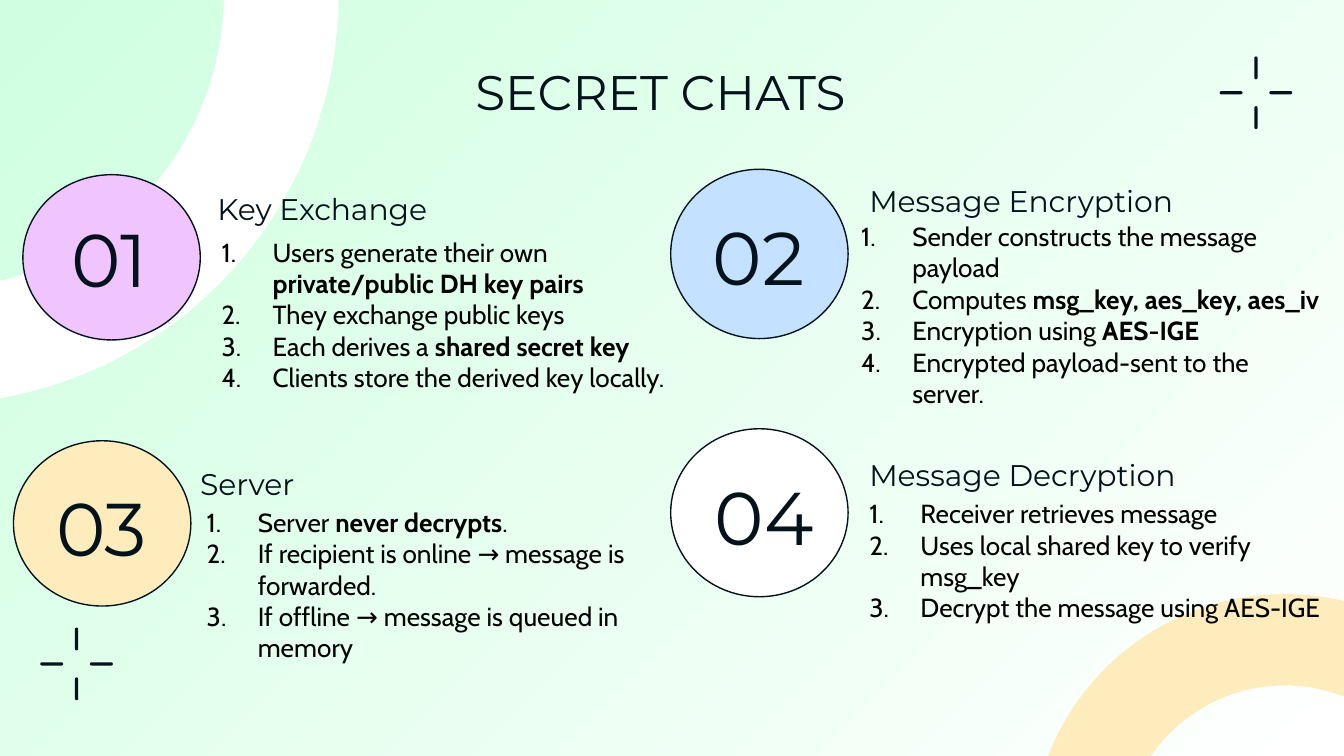
from dataclasses import dataclass
from typing import NamedTuple

from lxml.etree import SubElement
from pptx import Presentation
from pptx.dml.color import RGBColor
from pptx.enum.shapes import MSO_SHAPE
from pptx.enum.text import MSO_ANCHOR, MSO_AUTO_SIZE, PP_ALIGN
from pptx.oxml.ns import qn
from pptx.util import Inches, Pt

# The grid has square cells, 100 columns across the slide.
COLUMNS, ROWS = 100, 56.25
CELL = Inches(0.1)
INSET = 1
LIST_INDENT = 3.8


@dataclass(frozen=True)
class Theme:
    ink: str = "03121B"
    black: str = "000000"
    white: str = "FFFFFF"
    mint: str = "CFFFE0"
    pink: str = "F0C4FF"
    blue: str = "C4E2FF"
    cream: str = "FFECBC"
    heading_font: str = "Montserrat"
    body_font: str = "Cabin"
    title_size: float = 26
    heading_size: float = 16
    body_size: float = 14
    number_size: float = 40
    outline: float = 0.75


THEME = Theme()


class Area(NamedTuple):
    """Left, top, width and height in grid cells."""
    left: float
    top: float
    width: float
    height: float

    def lengths(self) -> list[int]:
        return [round(value * CELL) for value in self]


class TextStyle(NamedTuple):
    font: str
    size: float
    color: str


TITLE = TextStyle(THEME.heading_font, THEME.title_size, THEME.ink)
HEADING = TextStyle(THEME.heading_font, THEME.heading_size, THEME.ink)
NUMBER = TextStyle(THEME.heading_font, THEME.number_size, THEME.ink)
BODY = TextStyle(THEME.body_font, THEME.body_size, THEME.black)


class Step(NamedTuple):
    """One numbered topic; double asterisks in items enclose bold words."""
    number: str
    heading: str
    color: str
    circle: Area
    number_area: Area
    heading_area: Area
    list_area: Area
    items: tuple[str, ...]
    list_foot: float = INSET


class Arc(NamedTuple):
    area: Area
    color: str
    adjustments: tuple[float, float, float]


STEPS = (
    Step("01", "Key Exchange", THEME.pink,
         Area(1.7, 13, 13.2, 12.3), Area(2.4, 13.4, 11.5, 11.5),
         Area(15.2, 12.6, 27.6, 5.8), Area(15.5, 20, 35.9, 8.8),
         ("Users generate their own **private/public DH key pairs**",
          "They exchange public keys",
          "Each derives a **shared secret key**",
          "Clients store the derived key locally."),
         list_foot=3),
    Step("02", "Message Encryption", THEME.blue,
         Area(49.9, 12.6, 13.2, 12.6), Area(50.7, 13.3, 11.5, 11.5),
         Area(63.7, 12, 33.1, 5.8), Area(63.1, 19.8, 36.3, 7.2),
         ("Sender constructs the message payload",
          "Computes **msg_key, aes_key, aes_iv**",
          "Encryption using **AES-IGE**",
          "Encrypted payload-sent to the server.")),
    Step("03", "Server", THEME.cream,
         Area(1, 32.8, 13.2, 12.3), Area(1.8, 33.4, 11.5, 11.5),
         Area(13.9, 33.1, 25.2, 5.8), Area(14.4, 40.6, 34.7, 5.8),
         ("Server **never decrypts**.",
          "If recipient is online → message is forwarded.",
          "If offline → message is queued in memory")),
    Step("04", "Message Decryption", THEME.white,
         Area(49.9, 31.9, 13.2, 12.5), Area(51.1, 32.6, 11.5, 11.5),
         Area(63.7, 32.4, 29.1, 5.8), Area(63.7, 38.8, 36.3, 5.8),
         ("Receiver retrieves message",
          "Uses local shared key to verify msg_key",
          "Decrypt the message using AES-IGE")),
)

ARCS = (
    Arc(Area(-35.8, -30.9, 61, 61), THEME.white, (54.59, 214.9, 0.14)),
    Arc(Area(76.7, 44.2, 37.8, 37.8), THEME.cream, (54.59, 0.64, 0.18)),
)
CROSS_CENTERS = ((93.45, 6.9), (5.7, 49.4))


def rgb(color: str) -> RGBColor:
    return RGBColor.from_string(color)


def paint_background(page) -> None:
    fill = page.background.fill
    fill.gradient()
    fill.gradient_angle = 135
    for stop, color in zip(fill.gradient_stops, (THEME.white, THEME.mint)):
        stop.color.rgb = rgb(color)


def add_filled(page, kind: MSO_SHAPE, area: Area, color: str):
    shape = page.shapes.add_shape(kind, *area.lengths())
    shape.shadow.inherit = False
    shape.fill.solid()
    shape.fill.fore_color.rgb = rgb(color)
    shape.line.fill.background()
    return shape


def add_arc(page, arc: Arc) -> None:
    shape = add_filled(page, MSO_SHAPE.BLOCK_ARC, arc.area, arc.color)
    for index, value in enumerate(arc.adjustments):
        shape.adjustments[index] = value
    shape.element.spPr.xfrm.set("flipH", "1")


def add_cross(page, center_x: float, center_y: float) -> None:
    """Draw four rounded strokes around an open centre."""
    length, thickness, reach = 1.7, 0.24, 1.85
    for dx, dy in ((1, 0), (-1, 0), (0, 1), (0, -1)):
        width, height = (length, thickness) if dx else (thickness, length)
        area = Area(center_x + dx * reach - width / 2,
                    center_y + dy * reach - height / 2, width, height)
        stroke = add_filled(page, MSO_SHAPE.ROUNDED_RECTANGLE, area, THEME.ink)
        stroke.adjustments[0] = 0.5


def add_circle(page, step: Step) -> None:
    circle = add_filled(page, MSO_SHAPE.OVAL, step.circle, step.color)
    circle.line.color.rgb = rgb(THEME.ink)
    circle.line.width = Pt(THEME.outline)


def prepare_frame(box, anchor: MSO_ANCHOR, foot: float = INSET):
    frame = box.text_frame
    frame.word_wrap = True
    frame.auto_size = MSO_AUTO_SIZE.NONE
    frame.vertical_anchor = anchor
    frame.margin_left = frame.margin_right = frame.margin_top = INSET * CELL
    frame.margin_bottom = round(foot * CELL)
    return frame


def add_span(para, text: str, style: TextStyle, bold: bool = False) -> None:
    span = para.add_run()
    span.text = text
    span.font.name = style.font
    span.font.size = Pt(style.size)
    span.font.color.rgb = rgb(style.color)
    span.font.bold = bold


def add_label(page, area: Area, text: str, style: TextStyle, align: PP_ALIGN) -> None:
    box = page.shapes.add_textbox(*area.lengths())
    para = prepare_frame(box, MSO_ANCHOR.MIDDLE).paragraphs[0]
    para.alignment = align
    add_span(para, text, style)


def number_paragraph(para) -> None:
    indent = round(LIST_INDENT * CELL)
    properties = para._p.get_or_add_pPr()
    properties.set("marL", str(indent))
    properties.set("indent", str(-indent))
    color = SubElement(properties, qn("a:buClr"))
    SubElement(color, qn("a:srgbClr"), val=BODY.color)
    SubElement(properties, qn("a:buFont"), typeface=BODY.font)
    SubElement(properties, qn("a:buAutoNum"), type="arabicPeriod")


def add_list(page, step: Step) -> None:
    box = page.shapes.add_textbox(*step.list_area.lengths())
    frame = prepare_frame(box, MSO_ANCHOR.MIDDLE, step.list_foot)
    for index, item in enumerate(step.items):
        para = frame.add_paragraph() if index else frame.paragraphs[0]
        number_paragraph(para)
        for part, text in enumerate(item.split("**")):
            if text:
                add_span(para, text, BODY, bold=part % 2 == 1)


def place_title(page, text: str) -> None:
    title = page.shapes.title
    title.left, title.top, title.width, title.height = Area(7, 3.6, 84.3, 6.3).lengths()
    para = prepare_frame(title, MSO_ANCHOR.TOP).paragraphs[0]
    para.alignment = PP_ALIGN.CENTER
    add_span(para, text, TITLE)


def main() -> None:
    deck = Presentation()
    deck.slide_width, deck.slide_height = COLUMNS * CELL, round(ROWS * CELL)
    page = deck.slides.add_slide(deck.slide_layouts.get_by_name("Title Only"))
    paint_background(page)
    for arc in ARCS:
        add_arc(page, arc)
    for center in CROSS_CENTERS:
        add_cross(page, *center)
    place_title(page, "SECRET CHATS")
    for step in STEPS:
        add_circle(page, step)
        add_label(page, step.number_area, step.number, NUMBER, PP_ALIGN.CENTER)
        add_label(page, step.heading_area, step.heading, HEADING, PP_ALIGN.LEFT)
        add_list(page, step)
    deck.save("out.pptx")


if __name__ == "__main__":
    main()
